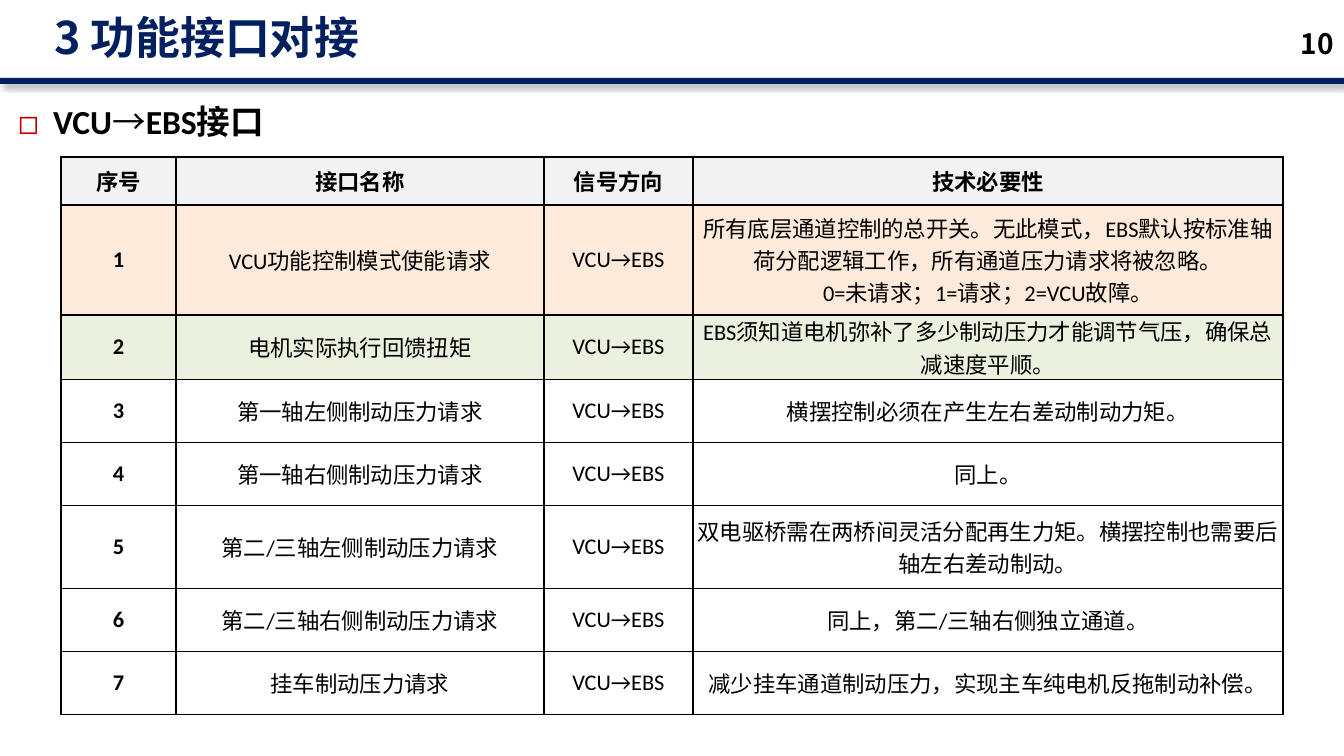
from lxml import etree
from pptx import Presentation
from pptx.dml.color import RGBColor
from pptx.enum.shapes import MSO_SHAPE
from pptx.enum.text import MSO_ANCHOR, MSO_AUTO_SIZE, PP_ALIGN
from pptx.oxml.ns import qn
from pptx.util import Pt

RECTANGLE = MSO_SHAPE.RECTANGLE
MIDDLE, TOP = MSO_ANCHOR.MIDDLE, MSO_ANCHOR.TOP
LEFT, CENTER, RIGHT = PP_ALIGN.LEFT, PP_ALIGN.CENTER, PP_ALIGN.RIGHT
FIT_NONE = MSO_AUTO_SIZE.NONE

THEME = {
    "latin": "Calibri", "cjk": "Noto Sans CJK SC",
    "navy": "002060", "black": "000000", "bullet": "C00000",
    "header": "F2F2F2", "orange": "FDEADA", "green": "EBF1DE",
    "title_size": 32, "topic_size": 24, "page_size": 20, "table_size": 16,
}


def px(*lengths):
    return [round(length * 914400 / 100.8) for length in lengths]


def style(paragraph, face, size, color, bold, align):
    paragraph.alignment = align
    font = paragraph.font
    font.name = face
    font.size = Pt(size)
    font.bold = bold
    font.color.rgb = RGBColor.from_string(color)
    defaults = paragraph._p.pPr.find(qn("a:defRPr"))
    east_asian = etree.Element(qn("a:ea"), typeface=THEME["cjk"])
    defaults.find(qn("a:latin")).addnext(east_asian)


prs = Presentation()
prs.slide_width, prs.slide_height = px(1344, 756)
slide = prs.slides.add_slide(prs.slide_layouts[1])
title, topic = slide.placeholders

# Header rule with its shadow
rule = slide.shapes.add_shape(RECTANGLE, *px(0, 78, 1344, 6))
rule.fill.solid()
rule.fill.fore_color.rgb = RGBColor.from_string(THEME["navy"])
rule.line.fill.background()
rule.shadow.inherit = False
effects = rule._element.spPr.find(qn("a:effectLst"))
shadow = etree.SubElement(effects, qn("a:outerShdw"), blurRad=str(Pt(4)),
                          dist=str(Pt(3)), dir="2700000", algn="tl", rotWithShape="0")
shadow_color = etree.SubElement(shadow, qn("a:srgbClr"), val=THEME["black"])
etree.SubElement(shadow_color, qn("a:alpha"), val="40000")

# Title, topic and page number
page_number = slide.shapes.add_textbox(*px(1266, 23, 78, 40))
for box, bounds, anchor in ((title, (44, 10, 1055, 59), MIDDLE),
                            (topic, (8, 84, 543, 58), TOP),
                            (page_number, (1266, 23, 78, 40), MIDDLE)):
    box.left, box.top, box.width, box.height = px(*bounds)
    box.text_frame.word_wrap = True
    box.text_frame.auto_size = FIT_NONE
    box.text_frame.vertical_anchor = anchor

title.text_frame.text = "3 功能接口对接"
heading = title.text_frame.paragraphs[0]
heading.line_spacing = 0.9
style(heading, THEME["cjk"], THEME["title_size"], THEME["navy"], True, LEFT)

page_number.text_frame.text = "10"
style(page_number.text_frame.paragraphs[0], THEME["cjk"], THEME["page_size"],
      THEME["black"], True, RIGHT)

topic_line = topic.text_frame.paragraphs[0]
sender, arrow, receiver = [topic_line.add_run() for _ in range(3)]
sender.text, arrow.text, receiver.text = "VCU", "→", "EBS接口"
arrow.font.name = THEME["cjk"]
arrow.font.bold = False
topic_line.line_spacing = 1.3
topic_line.space_before = Pt(0)
topic_props = topic_line._p.get_or_add_pPr()
indent = px(35)[0]
topic_props.set("marL", str(indent))
topic_props.set("indent", str(-indent))
bullet_color = etree.SubElement(topic_props, qn("a:buClr"))
etree.SubElement(bullet_color, qn("a:srgbClr"), val=THEME["bullet"])
etree.SubElement(topic_props, qn("a:buFont"), typeface=THEME["cjk"])
etree.SubElement(topic_props, qn("a:buChar"), char="◻")
style(topic_line, THEME["latin"], THEME["topic_size"], THEME["black"], True, LEFT)

# Interface table: name, necessity, row height, row fill
DIRECTION = "VCU→EBS"
interfaces = [
    ("VCU功能控制模式使能请求",
     "所有底层通道控制的总开关。无此模式，EBS默认按标准轴荷分配逻辑工作，所有通道压力请求将被忽略。\n"
     "0=未请求；1=请求；2=VCU故障。", 110, THEME["orange"]),
    ("电机实际执行回馈扭矩",
     "EBS须知道电机弥补了多少制动压力才能调节气压，确保总减速度平顺。", 63, THEME["green"]),
    ("第一轴左侧制动压力请求", "横摆控制必须在产生左右差动制动力矩。", 63, None),
    ("第一轴右侧制动压力请求", "同上。", 63, None),
    ("第二/三轴左侧制动压力请求",
     "双电驱桥需在两桥间灵活分配再生力矩。横摆控制也需要后轴左右差动制动。", 83, None),
    ("第二/三轴右侧制动压力请求", "同上，第二/三轴右侧独立通道。", 63, None),
    ("挂车制动压力请求", "减少挂车通道制动压力，实现主车纯电机反拖制动补偿。", 63, None),
]
rows = [(("序号", "接口名称", "信号方向", "技术必要性"), 48, THEME["header"])]
for number, (name, necessity, height, fill) in enumerate(interfaces, 1):
    rows.append(((str(number), name, DIRECTION, necessity), height, fill))

column_widths = (115, 368, 149, 590)
table_height = sum(height for _, height, _ in rows)
table = slide.shapes.add_table(len(rows), len(column_widths),
                               *px(61, 157, sum(column_widths), table_height)).table
table.horz_banding = False
for column, width in zip(table.columns, px(*column_widths)):
    column.width = width

for row_index, (texts, height, fill) in enumerate(rows):
    table.rows[row_index].height = px(height)[0]
    for column_index, text in enumerate(texts):
        cell = table.cell(row_index, column_index)
        cell.text = text
        cell.vertical_anchor = MIDDLE
        cell.margin_left = cell.margin_right = cell.margin_top = cell.margin_bottom = 0
        for paragraph in cell.text_frame.paragraphs:
            style(paragraph, THEME["latin"], THEME["table_size"], THEME["black"],
                  row_index == 0 or column_index == 0, CENTER)
        cell_props = cell._tc.get_or_add_tcPr()
        for side in ("a:lnL", "a:lnR", "a:lnT", "a:lnB"):
            border = etree.SubElement(cell_props, qn(side), w=str(Pt(1)))
            border_fill = etree.SubElement(border, qn("a:solidFill"))
            etree.SubElement(border_fill, qn("a:srgbClr"), val=THEME["black"])
        if fill:
            cell.fill.solid()
            cell.fill.fore_color.rgb = RGBColor.from_string(fill)
        else:
            cell.fill.background()

prs.save("out.pptx")
